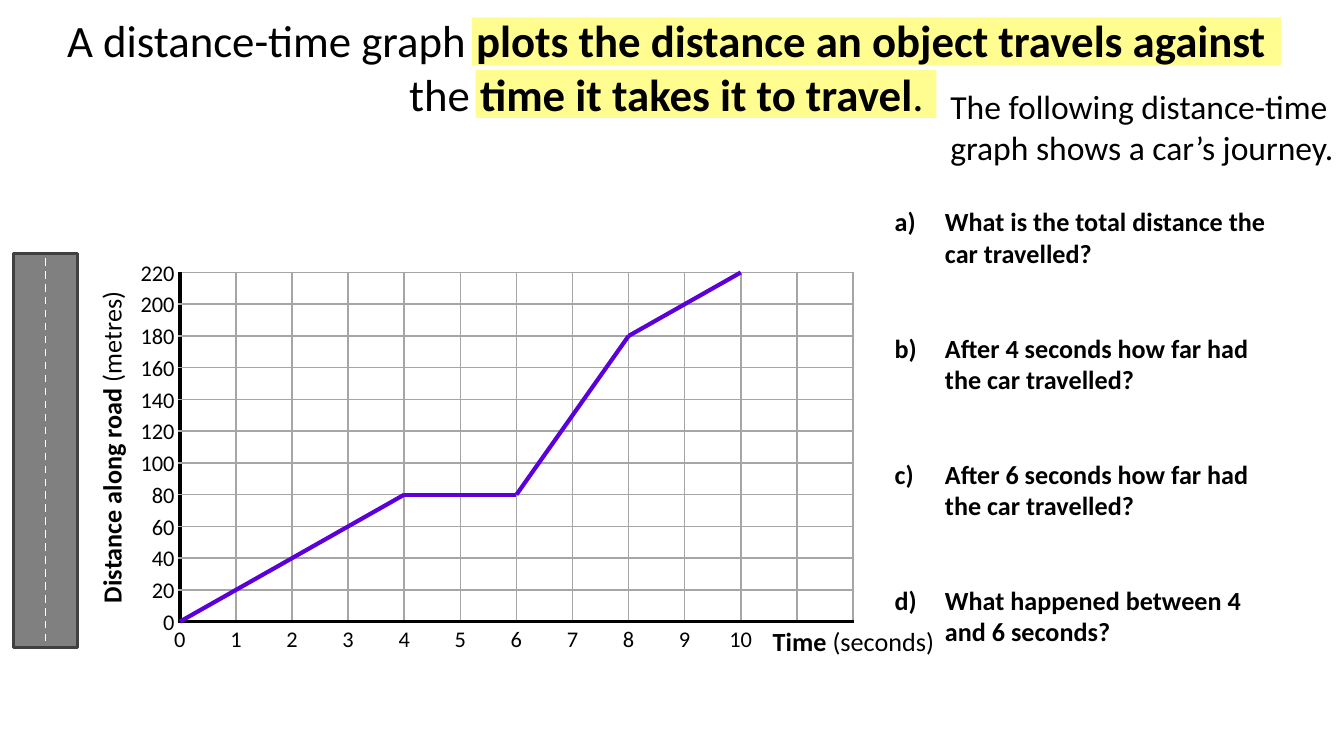
import dataclasses
import itertools

import lxml.etree
import pptx
import pptx.dml.color
import pptx.enum.dml
import pptx.enum.shapes
import pptx.enum.text
import pptx.oxml.ns
import pptx.util

Cm = pptx.util.Cm
Pt = pptx.util.Pt
ALIGN = pptx.enum.text.PP_ALIGN
ANCHOR = pptx.enum.text.MSO_ANCHOR
qn = pptx.oxml.ns.qn


@dataclasses.dataclass(frozen=True)
class Theme:
    font: str = "Calibri"
    ink: str = "000000"
    highlight: str = "FFFD90"
    road: str = "808080"
    road_edge: str = "404040"
    road_marking: str = "FFFFFF"
    grid: str = "A6A6A6"
    journey: str = "5B00D9"
    title_size: float = 24
    intro_size: float = 18
    body_size: float = 14
    tick_size: float = 12
    thin: float = 1
    edge: float = 1.5
    thick: float = 2.25


THEME = Theme()

# Grid geometry in centimetres; one column is 1 second, one row is 20 metres.
GRID_LEFT, GRID_TOP = 3.4, 5.15
COLUMN, ROW = 1.06, 0.6
COLUMNS, ROWS = 12, 11
METRES_PER_ROW = 20
GRID_BOTTOM = GRID_TOP + ROWS * ROW

JOURNEY = [(0, 0), (4, 80), (6, 80), (8, 180), (10, 220)]
QUESTIONS = [
    "What is the total distance the car travelled?",
    "After 4 seconds how far had the car travelled?",
    "After 6 seconds how far had the car travelled?",
    "What happened between 4 and 6 seconds?",
]


def rgb(value):
    return pptx.dml.color.RGBColor.from_string(value)


def grid_point(seconds, metres):
    return (GRID_LEFT + seconds * COLUMN,
            GRID_BOTTOM - metres / METRES_PER_ROW * ROW)


def add_rectangle(slide, box, fill, edge=None):
    shape = slide.shapes.add_shape(
        pptx.enum.shapes.MSO_SHAPE.RECTANGLE, *map(Cm, box))
    shape.shadow.inherit = False
    shape.fill.solid()
    shape.fill.fore_color.rgb = rgb(fill)
    if edge:
        shape.line.color.rgb = rgb(edge)
        shape.line.width = Pt(THEME.edge)
    else:
        shape.line.fill.background()


def add_line(slide, start, end, color, width, dashed=False):
    line = slide.shapes.add_connector(
        pptx.enum.shapes.MSO_CONNECTOR.STRAIGHT, *map(Cm, (*start, *end)))
    line.line.color.rgb = rgb(color)
    line.line.width = Pt(width)
    if dashed:
        line.line.dash_style = pptx.enum.dml.MSO_LINE.DASH
    lxml.etree.SubElement(line._element.spPr, qn("a:effectLst"))


def add_text_box(slide, box, margins=(0, 0, 0, 0), anchor=ANCHOR.TOP):
    shape = slide.shapes.add_textbox(*map(Cm, box))
    frame = shape.text_frame
    frame.word_wrap = True
    frame.auto_size = pptx.enum.text.MSO_AUTO_SIZE.SHAPE_TO_FIT_TEXT
    frame.vertical_anchor = anchor
    (frame.margin_left, frame.margin_top,
     frame.margin_right, frame.margin_bottom) = map(Cm, margins)
    return shape


def write(paragraph, pieces, size, align=ALIGN.LEFT):
    """Fill a paragraph with (text, bold) pieces; a newline is a line break."""
    paragraph.alignment = align
    paragraph.font.name = THEME.font
    paragraph.font.size = Pt(size)
    paragraph.font.color.rgb = rgb(THEME.ink)
    bolds = {bold for text, bold in pieces if text != "\n"}
    if len(bolds) == 1:
        paragraph.font.bold = bolds.pop()
    for text, bold in pieces:
        if text == "\n":
            paragraph.add_line_break()
            continue
        run = paragraph.add_run()
        run.text = text
        if paragraph.font.bold is None:
            run.font.bold = bold


def add_label(slide, box, pieces, size, align=ALIGN.CENTER):
    shape = add_text_box(slide, box, anchor=ANCHOR.MIDDLE)
    write(shape.text_frame.paragraphs[0], pieces, size, align)
    return shape


def set_border(cell, side, color, width):
    line = lxml.etree.SubElement(
        cell._tc.get_or_add_tcPr(), qn(f"a:ln{side}"), w=str(Pt(width)))
    fill = lxml.etree.SubElement(line, qn("a:solidFill"))
    lxml.etree.SubElement(fill, qn("a:srgbClr"), val=color)


def add_grid(slide):
    table = slide.shapes.add_table(
        ROWS, COLUMNS, Cm(GRID_LEFT), Cm(GRID_TOP),
        Cm(COLUMNS * COLUMN), Cm(ROWS * ROW)).table
    table.first_row = table.horz_banding = False
    for column in table.columns:
        column.width = Cm(COLUMN)
    for row in table.rows:
        row.height = Cm(ROW)
    for row, column in itertools.product(range(ROWS), range(COLUMNS)):
        cell = table.cell(row, column)
        cell.margin_top = cell.margin_bottom = 0
        axes = {"L": column == 0, "B": row == ROWS - 1}
        for side in "LRTB":
            if axes.get(side):
                set_border(cell, side, THEME.ink, THEME.thick)
            else:
                set_border(cell, side, THEME.grid, THEME.thin)
        cell.fill.background()
        # A small size keeps the empty cell from stretching its row.
        lxml.etree.SubElement(
            cell.text_frame.paragraphs[0]._p, qn("a:endParaRPr"), sz="800")


def add_axis_labels(slide):
    vertical = add_label(
        slide, (-1.14, 8.15, 6.48, 0.61),
        [("Distance along road ", True), ("(metres)", False)], THEME.body_size)
    vertical.rotation = 270
    add_label(slide, (14.3, 11.81, 3.66, 0.61),
              [("Time ", True), ("(seconds)", False)], THEME.body_size)
    for seconds in range(11):
        x, _ = grid_point(seconds, 0)
        add_label(slide, (x - 0.4, 11.81, 0.8, 0.51),
                  [(str(seconds), False)], THEME.tick_size)
    for metres in range(0, ROWS * METRES_PER_ROW + 1, METRES_PER_ROW):
        _, y = grid_point(0, metres)
        add_label(slide, (2.39, y - 0.26, 0.91, 0.51),
                  [(str(metres), False)], THEME.tick_size, ALIGN.RIGHT)


def add_title(slide):
    add_rectangle(slide, (8.92, 0.33, 15.29, 0.91), THEME.highlight)
    add_rectangle(slide, (8.99, 1.32, 8.71, 0.91), THEME.highlight)
    shape = add_text_box(slide, (0.1, 0.25, 24.89, 2.06), (0.1, 0, 0, 0))
    write(shape.text_frame.paragraphs[0], [
        ("A distance-time graph ", False),
        ("plots the distance an object travels against", True),
        ("\n", False),
        ("the ", False),
        ("time it takes it to travel", True),
        (".", False),
    ], THEME.title_size, ALIGN.CENTER)


def add_questions(slide):
    frame = add_text_box(slide, (16.66, 3.76, 7.54, 8.64),
                         (0.25, 0.13, 0.25, 0.13)).text_frame
    for index, question in enumerate(QUESTIONS):
        paragraph = frame.add_paragraph() if index else frame.paragraphs[0]
        if index:
            paragraph.space_before = Pt(34)
        properties = paragraph._p.get_or_add_pPr()
        properties.set("marL", str(Cm(0.95)))
        properties.set("indent", str(-Cm(0.95)))
        lxml.etree.SubElement(
            properties, qn("a:buAutoNum"), type="alphaLcParenR")
        write(paragraph, [(question, True)], THEME.body_size)


def main():
    presentation = pptx.Presentation()
    presentation.slide_width = Cm(25.4)
    presentation.slide_height = Cm(14.29)
    slide = presentation.slides.add_slide(presentation.slide_layouts[6])

    add_rectangle(slide, (0.25, 4.8, 1.22, 7.44), THEME.road, THEME.road_edge)
    add_line(slide, (0.86, 4.88), (0.86, 12.14),
             THEME.road_marking, THEME.thin, dashed=True)
    add_title(slide)
    add_grid(slide)
    add_axis_labels(slide)
    intro = add_text_box(slide, (17.86, 1.63, 7.54, 1.55), (0.1, 0, 0, 0))
    write(intro.text_frame.paragraphs[0],
          [("The following distance-time graph shows a car’s journey.", False)],
          THEME.intro_size)
    for start, end in itertools.pairwise(JOURNEY):
        add_line(slide, grid_point(*start), grid_point(*end),
                 THEME.journey, THEME.thick)
    add_questions(slide)
    presentation.save("out.pptx")


if __name__ == "__main__":
    main()
